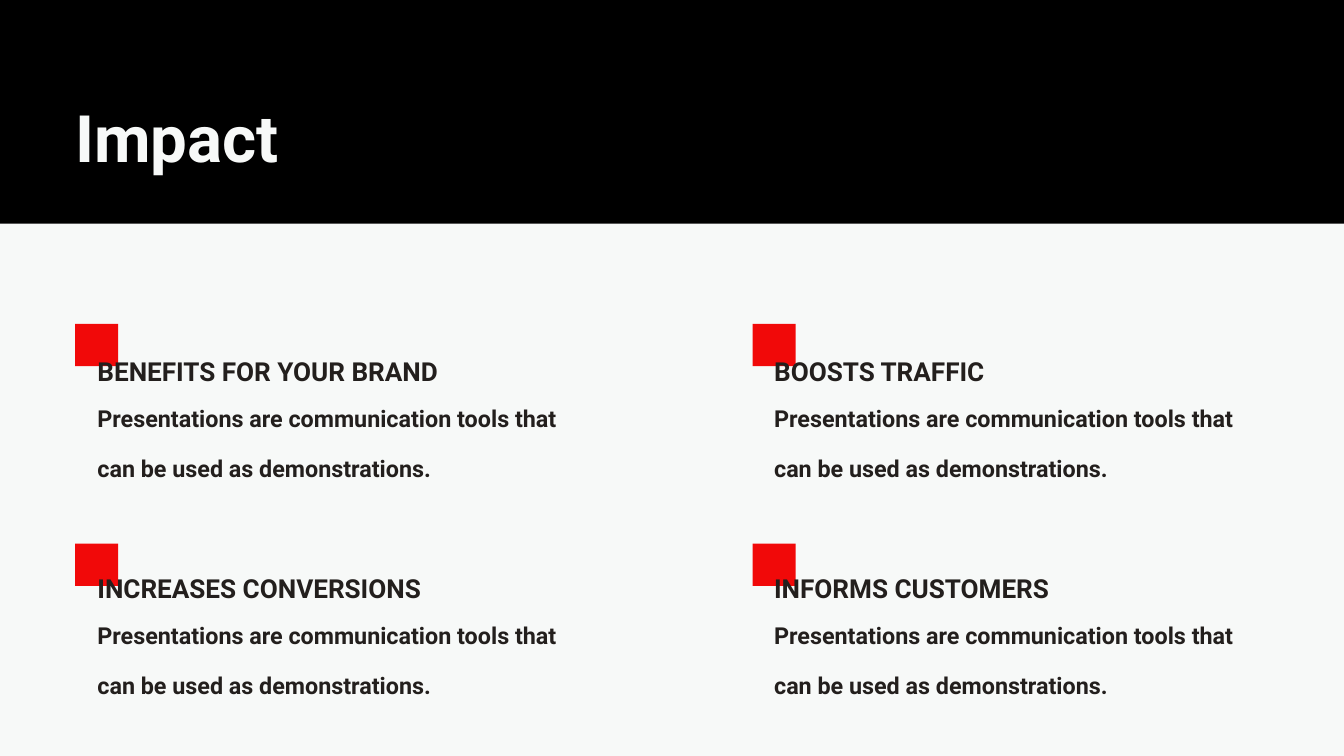
from pptx import Presentation
from pptx.dml.color import RGBColor
from pptx.enum.shapes import MSO_SHAPE
from pptx.enum.text import MSO_ANCHOR, MSO_AUTO_SIZE, PP_ALIGN
from pptx.util import Inches, Pt

RECT = MSO_SHAPE.RECTANGLE
TOP = MSO_ANCHOR.TOP
GROW = MSO_AUTO_SIZE.SHAPE_TO_FIT_TEXT
LEFT = PP_ALIGN.LEFT

BLACK = RGBColor(0x00, 0x00, 0x00)
PAPER = RGBColor(0xF7, 0xF9, 0xF8)
RED = RGBColor(0xF1, 0x09, 0x09)
INK = RGBColor(0x23, 0x1F, 0x1D)

BODY = "Presentations are communication tools that can be used as demonstrations."
# Each row: marker top, heading top, headings from left to right
ROWS = [
    (4.82, 5.1, ["BENEFITS FOR YOUR BRAND", "BOOSTS TRAFFIC"]),
    (8.09, 8.33, ["INCREASES CONVERSIONS", "INFORMS CUSTOMERS"]),
]
# Each column: marker left, text left
COLS = [(1.12, 1.45), (11.2, 11.52)]


class Deck:
    """Holds the style and the current slide."""

    font = "Roboto"

    def __init__(self, wide, high):
        self.prs = Presentation()
        self.prs.slide_width = Inches(wide)
        self.prs.slide_height = Inches(high)

    def add_slide(self, color):
        layout = self.prs.slide_layouts.get_by_name("Title Only")
        self.slide = self.prs.slides.add_slide(layout)
        fill = self.slide.background.fill
        fill.solid()
        fill.fore_color.rgb = color

    def block(self, x, y, w, h, color):
        box = self.slide.shapes.add_shape(
            RECT, Inches(x), Inches(y), Inches(w), Inches(h))
        box.shadow.inherit = False
        box.fill.solid()
        box.fill.fore_color.rgb = color
        box.line.fill.background()

    def set_text(self, shape, text, size, color, space):
        frame = shape.text_frame
        frame.word_wrap = True
        frame.auto_size = GROW
        frame.vertical_anchor = TOP
        frame.margin_left = frame.margin_right = 0
        frame.margin_top = frame.margin_bottom = 0
        para = frame.paragraphs[0]
        para.alignment = LEFT
        para.line_spacing = space
        para.space_before = Pt(0)
        run = para.add_run()
        run.text = text
        run.font.name = self.font
        run.font.size = Pt(size)
        run.font.bold = True
        run.font.color.rgb = color

    def title(self, text, x, y, w, h):
        shape = self.slide.shapes.title
        shape.left, shape.top = Inches(x), Inches(y)
        shape.width, shape.height = Inches(w), Inches(h)
        self.set_text(shape, text, 70, PAPER, 1.5)
        # Bring the title in front of the band
        self.slide.shapes.element.append(shape.element)

    def point(self, head, body, x, y):
        """Add a heading with its text below, as one group."""
        group = self.slide.shapes.add_group_shape().shapes
        wide = Inches(7.36)
        top = group.add_textbox(Inches(x), Inches(y), wide, Inches(0.5))
        self.set_text(top, head, 28, INK, 1.4)
        low = group.add_textbox(
            Inches(x), Inches(y + 0.58), wide, Inches(1.13))
        self.set_text(low, body, 25, INK, 1.79)

    def save(self):
        self.prs.save("out.pptx")


def main():
    deck = Deck(20, 11.25)
    deck.add_slide(PAPER)
    deck.block(-0.22, 0, 20.45, 3.33, BLACK)
    deck.title("Impact", 1.12, 0.87, 16.87, 1.38)
    for mark_y, text_y, heads in ROWS:
        for (mark_x, text_x), head in zip(COLS, heads):
            deck.block(mark_x, mark_y, 0.64, 0.63, RED)
            deck.point(head, BODY, text_x, text_y)
    deck.save()


if __name__ == "__main__":
    main()
